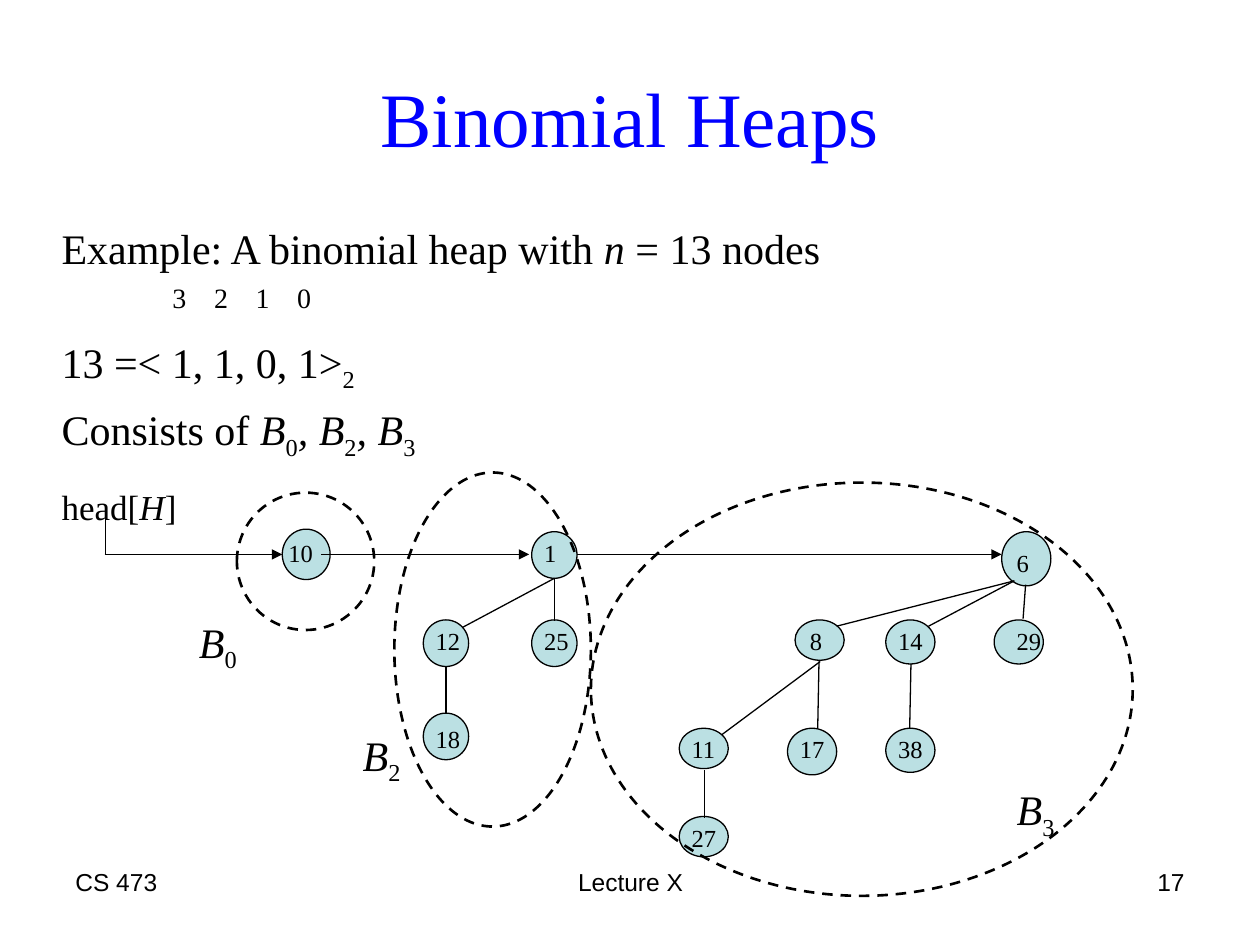
from dataclasses import dataclass

from lxml.etree import SubElement
from pptx import Presentation
from pptx.dml.color import RGBColor
from pptx.enum.dml import MSO_LINE
from pptx.enum.shapes import MSO_CONNECTOR, MSO_SHAPE
from pptx.enum.text import MSO_ANCHOR, PP_ALIGN
from pptx.oxml.ns import qn
from pptx.util import Inches, Pt


@dataclass(frozen=True)
class Theme:
    serif: str = "Times New Roman"
    sans: str = "Arial"
    ink: RGBColor = RGBColor(0, 0, 0)
    title: RGBColor = RGBColor(0, 0, 255)
    node: RGBColor = RGBColor(0xBB, 0xE0, 0xE3)
    title_size: int = 44
    body_size: int = 24
    head_size: int = 20
    digit_size: int = 16
    small_size: int = 14
    thin: float = 0.75
    dashed: float = 1.5


class HeapSlide:
    def __init__(self, prs, theme):
        self.theme = theme
        self.s = prs.slides.add_slide(prs.slide_layouts[6])

    def run(self, p, text, size, italic=False, sub=False, font=None, color=None):
        r = p.add_run()
        r.text = text
        r.font.size = Pt(size)
        r.font.name = font or self.theme.serif
        r.font.italic = italic
        r.font.color.rgb = color or self.theme.ink
        if sub:
            r.font._element.set("baseline", "-25000")

    def box(self, x, y, w, h, align=PP_ALIGN.LEFT, anchor=MSO_ANCHOR.TOP):
        sp = self.s.shapes.add_textbox(Inches(x), Inches(y), Inches(w), Inches(h))
        tf = sp.text_frame
        tf.word_wrap = True
        tf.vertical_anchor = anchor
        tf.paragraphs[0].alignment = align
        return tf

    def text(self, at, text, size, align=PP_ALIGN.LEFT, anchor=MSO_ANCHOR.TOP, **style):
        tf = self.box(*at, align, anchor)
        self.run(tf.paragraphs[0], text, size, **style)

    def body(self, at, paragraphs):
        tf = self.box(*at)
        for i, (before, spacing, tabs, runs) in enumerate(paragraphs):
            p = tf.add_paragraph() if i else tf.paragraphs[0]
            p.space_before = Pt(before)
            p.line_spacing = spacing
            if tabs:
                tab_list = SubElement(p._p.get_or_add_pPr(), qn("a:tabLst"))
                for pos in tabs:
                    SubElement(tab_list, qn("a:tab"), pos=str(Inches(pos)), algn="l")
            for r in runs:
                self.run(p, *r)

    def ellipse(self, x, y, w, h, dashed=False):
        sp = self.s.shapes.add_shape(
            MSO_SHAPE.OVAL, Inches(x), Inches(y), Inches(w), Inches(h))
        sp.shadow.inherit = False
        sp.line.color.rgb = self.theme.ink
        if dashed:
            sp.fill.background()
            sp.line.width = Pt(self.theme.dashed)
            sp.line.dash_style = MSO_LINE.DASH
        else:
            sp.fill.solid()
            sp.fill.fore_color.rgb = self.theme.node
            sp.line.width = Pt(self.theme.thin)

    def line(self, x1, y1, x2, y2, arrow=False):
        c = self.s.shapes.add_connector(
            MSO_CONNECTOR.STRAIGHT, Inches(x1), Inches(y1), Inches(x2), Inches(y2))
        c.line.color.rgb = self.theme.ink
        c.line.width = Pt(self.theme.thin)
        if arrow:
            SubElement(c.line._get_or_add_ln(), qn("a:tailEnd"), type="triangle")
        SubElement(c._element.spPr, qn("a:effectLst"))

    def tree_name(self, x, y, order):
        size = self.theme.body_size
        p = self.box(x, y, 0.52, 0.56).paragraphs[0]
        self.run(p, "B", size, italic=True)
        self.run(p, order, size, sub=True)


NODES = [
    ("10", 2.24, 4.2, 0.38, 0.4, -0.05, 0.02),
    ("1", 4.22, 4.22, 0.36, 0.37, 0, 0),
    ("12", 3.36, 4.92, 0.36, 0.37, 0, 0),
    ("25", 4.22, 4.92, 0.36, 0.37, 0, 0),
    ("18", 3.36, 5.66, 0.36, 0.37, 0, 0.04),
    ("6", 7.95, 4.22, 0.39, 0.43, 0.02, 0.08),
    ("8", 6.31, 4.92, 0.39, 0.32, 0.02, 0),
    ("14", 7.03, 4.92, 0.39, 0.35, 0, 0),
    ("29", 7.89, 4.92, 0.39, 0.35, 0.08, 0),
    ("11", 5.39, 5.78, 0.39, 0.32, 0, 0),
    ("17", 6.25, 5.78, 0.39, 0.37, 0, 0),
    ("38", 7.03, 5.78, 0.39, 0.35, 0, 0),
    ("27", 5.39, 6.48, 0.39, 0.32, 0, 0),
]
EDGES = [
    (3.54, 5.29, 3.54, 5.66), (4.4, 4.59, 4.4, 4.93), (3.67, 4.98, 4.4, 4.59),
    (5.59, 6.11, 5.59, 6.49), (6.5, 5.25, 6.49, 5.78), (7.23, 5.27, 7.22, 5.78),
    (8.14, 4.64, 8.12, 4.91), (7.37, 4.97, 8.05, 4.61), (5.73, 5.83, 6.51, 5.25),
    (6.64, 4.97, 8.05, 4.61), (0.84, 4.06, 0.84, 4.4),
]
ROOT_LINKS = [(0.83, 2.24), (2.55, 4.2), (4.58, 7.95)]
ROOT_Y = 4.4
TREE_NAMES = [(1.48, 4.84, "0"), (2.78, 5.74, "2"), (7.97, 6.17, "3")]
TREE_OUTLINES = [
    (4.69, 3.83, 4.3, 3.28), (3.13, 3.75, 1.56, 2.81), (1.88, 3.91, 1.09, 1.09),
]
FOOTERS = [
    (0.5, 2.33, "CS 473", PP_ALIGN.LEFT),
    (3.42, 3.17, "Lecture X", PP_ALIGN.CENTER),
    (7.17, 2.33, "17", PP_ALIGN.RIGHT),
]


def main():
    prs = Presentation()
    prs.slide_width, prs.slide_height = Inches(10), Inches(7.5)
    theme = Theme()
    slide = HeapSlide(prs, theme)
    size, head = theme.body_size, theme.head_size

    for x, w, text, align in FOOTERS:
        slide.text((x, 6.83, w, 0.52), text, theme.small_size, align, font=theme.sans)
    slide.text((0.5, 0.3, 9, 1.25), "Binomial Heaps", theme.title_size,
               PP_ALIGN.CENTER, MSO_ANCHOR.MIDDLE, color=theme.title)

    digit_tabs = [0.88 + 0.33 * i for i in range(4)]
    members = [("Consists of ", size)]
    for prefix, order in (("B", "0"), (", B", "2"), (", B", "3")):
        members += [(prefix, size, True), (order, size, False, True)]
    slide.body((0.39, 1.72, 9.15, 5.05), [
        (6, 1.0, [], [("Example: A binomial heap with ", size), ("n ", size, True),
                      ("= 13 nodes", size)]),
        (6, 0.6, digit_tabs, [("\t", size), ("3\t2\t1\t0", theme.digit_size)]),
        (6, 1.2, [], [("13 =< 1, 1, 0, 1>", size), ("2", size, False, True)]),
        (6, 1.0, [], members),
        (14, 1.0, [], [("head[", head), ("H", head, True), ("]", head)]),
    ])

    for label, x, y, w, h, dx, dy in NODES:
        slide.ellipse(x, y, w, h)
        slide.text((x + dx, y + dy, 0.49, 0.34), label, theme.small_size)
    for edge in EDGES:
        slide.line(*edge)
    for start, end in ROOT_LINKS:
        slide.line(start, ROOT_Y, end, ROOT_Y, arrow=True)
    for name in TREE_NAMES:
        slide.tree_name(*name)
    for outline in TREE_OUTLINES:
        slide.ellipse(*outline, dashed=True)

    prs.save("out.pptx")


if __name__ == "__main__":
    main()
